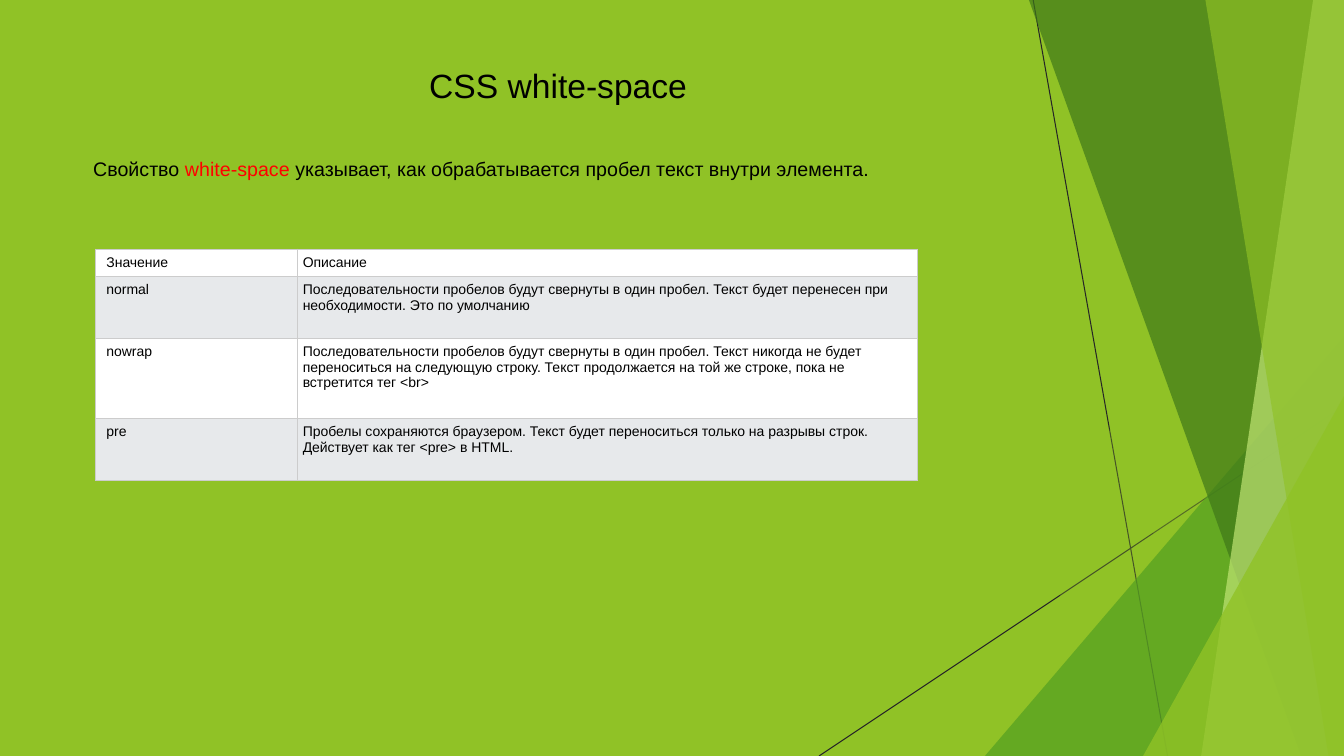
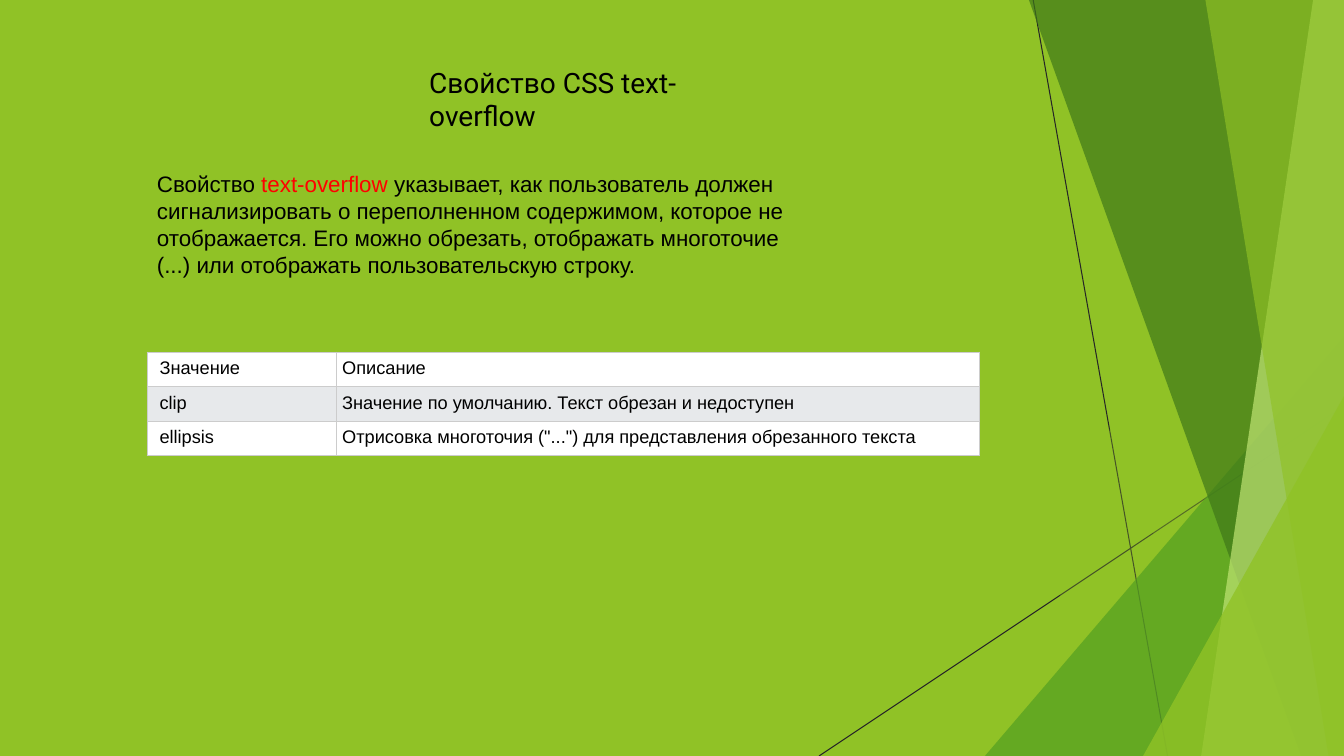
"""Build two slides on the CSS properties white-space and text-overflow."""
from lxml.etree import SubElement
from pptx import Presentation
from pptx.dml.color import RGBColor
from pptx.enum.shapes import MSO_CONNECTOR as CONN, MSO_SHAPE as SHAPE
from pptx.oxml import parse_xml
from pptx.oxml.ns import nsdecls, qn
from pptx.util import Pt

WIDTH, HEIGHT = 960, 540
LIME = RGBColor(0x90, 0xC2, 0x26)
GREEN = RGBColor(0x54, 0xA0, 0x21)
DARK_GREEN = RGBColor(0x3F, 0x78, 0x19)
PALE_GREEN = RGBColor(0xC0, 0xE4, 0x74)
LINE = RGBColor(0x26, 0x26, 0x26)
BLACK = RGBColor(0, 0, 0)
RED = RGBColor(0xFF, 0, 0)
WHITE = RGBColor(0xFF, 0xFF, 0xFF)
GREY = RGBColor(0xE7, 0xE9, 0xEB)
BORDER = RGBColor(0xCC, 0xCC, 0xCC)


def set_font(p, size, name="Arial"):
    p.font.size = Pt(size)
    p.font.name = name
    p.font.color.rgb = BLACK


def paint(sp, color, opacity):
    sp.shadow.inherit = False
    sp.line.fill.background()
    sp.fill.solid()
    sp.fill.fore_color.rgb = color
    clr = sp.element.spPr.find(".//" + qn("a:srgbClr"))
    SubElement(clr, qn("a:alpha"), val=str(opacity * 1000))


def add_line(shapes, x1, y1, x2, y2):
    line = shapes.add_connector(CONN.STRAIGHT, Pt(x1), Pt(y1), Pt(x2), Pt(y2))
    line.line.color.rgb = LINE
    line.line.width = Pt(0.75)
    SubElement(line.element.spPr, qn("a:effectLst"))


def add_band(shapes, top_x, bottom_x, color, opacity):
    outline = shapes.build_freeform(Pt(top_x), 0)
    corners = [(WIDTH, 0), (WIDTH, HEIGHT), (bottom_x, HEIGHT)]
    outline.add_line_segments([(Pt(x), Pt(y)) for x, y in corners])
    paint(outline.convert_to_shape(), color, opacity)


def add_corner(shapes, x, y, color, opacity):
    sp = shapes.add_shape(SHAPE.ISOSCELES_TRIANGLE, Pt(x), Pt(y),
                          Pt(WIDTH - x), Pt(HEIGHT - y))
    sp.adjustments[0] = 1
    paint(sp, color, opacity)


def add_decoration(s, layout):
    for ph in list(layout.placeholders):
        layout.shapes.element.remove(ph.element)
    group = s.shapes.add_group_shape()
    shapes = group.shapes
    add_line(shapes, 738, 0, 834, HEIGHT)
    add_line(shapes, WIDTH, 290, 585, HEIGHT)
    add_band(shapes, 884, 723, LIME, 30)
    add_band(shapes, 756, 852, LIME, 20)
    add_corner(shapes, 703.5, 240, GREEN, 72)
    add_band(shapes, 735, 929.5, DARK_GREEN, 70)
    add_band(shapes, 938, 858, PALE_GREEN, 70)
    add_band(shapes, 861, 949, LIME, 65)
    add_corner(shapes, 816.5, 283, LIME, 80)
    layout.shapes.element.append(group.element)


def add_text(s, x, y, w, h, size, runs, font="Arial"):
    tf = s.shapes.add_textbox(Pt(x), Pt(y), Pt(w), Pt(h)).text_frame
    tf.word_wrap = True
    p = tf.paragraphs[0]
    set_font(p, size, font)
    for text, color in runs:
        r = p.add_run()
        r.text = text
        if color != BLACK:
            r.font.color.rgb = color


def add_title(s, text, size, font):
    add_text(s, 299.5, 43, 204, 36, size, [(text, BLACK)], font)


def add_intro(s, x, y, w, h, size, name, rest):
    runs = [("Свойство ", BLACK), (name + " ", RED), (rest, BLACK)]
    add_text(s, x, y, w, h, size, runs)


def add_borders(cell):
    tcPr = cell._tc.get_or_add_tcPr()
    for i, side in enumerate(("lnL", "lnR", "lnT", "lnB")):
        tcPr.insert(i, parse_xml(
            f'<a:{side} {nsdecls("a")} w="{Pt(0.75)}"><a:solidFill>'
            f'<a:srgbClr val="{BORDER}"/></a:solidFill></a:{side}>'))


def add_values_table(s, x, y, widths, heights, size, pad, values):
    rows = [("Значение", "Описание")] + values
    table = s.shapes.add_table(len(rows), len(widths), Pt(x), Pt(y),
                               Pt(sum(widths)), Pt(sum(heights))).table
    table.first_row = table.horz_banding = False
    for column, w in zip(table.columns, widths):
        column.width = Pt(w)
    for i, (row, h, texts) in enumerate(zip(table.rows, heights, rows)):
        row.height = Pt(h)
        for j, (cell, text) in enumerate(zip(row.cells, texts)):
            cell.margin_left = Pt(pad if j else 2 * pad)
            cell.margin_right = cell.margin_top = cell.margin_bottom = Pt(pad)
            cell.text = text
            set_font(cell.text_frame.paragraphs[0], size)
            cell.fill.solid()
            cell.fill.fore_color.rgb = GREY if i % 2 else WHITE
            add_borders(cell)


def white_space_slide(s):
    add_title(s, "CSS white-space", 24, "Arial")
    add_intro(s, 59.5, 108.5, 662, 24.5, 14, "white-space",
              "указывает, как обрабатывается пробел текст внутри элемента.")
    add_values_table(s, 68.5, 178, (144, 443), (19.5, 44.5, 57, 44.5), 10, 3.75, [
        ("normal", "Последовательности пробелов будут свернуты в один пробел. "
                   "Текст будет перенесен при необходимости. Это по умолчанию"),
        ("nowrap", "Последовательности пробелов будут свернуты в один пробел. "
                   "Текст никогда не будет переноситься на следующую строку. "
                   "Текст продолжается на той же строке, пока не встретится "
                   "тег <br>"),
        ("pre", "Пробелы сохраняются браузером. Текст будет переноситься "
                "только на разрывы строк. Действует как тег <pre> в HTML."),
    ])


def text_overflow_slide(s):
    add_title(s, "Свойство CSS text-overflow", 20, "Roboto")
    add_intro(s, 105, 118, 480, 85, 16, "text-overflow",
              "указывает, как пользователь должен сигнализировать о "
              "переполненном содержимом, которое не отображается. Его можно "
              "обрезать, отображать многоточие (...) или отображать "
              "пользовательскую строку.")
    add_values_table(s, 105, 251.5, (135, 460), (24.25,) * 3, 13, 4.5, [
        ("clip", "Значение по умолчанию. Текст обрезан и недоступен"),
        ("ellipsis", 'Отрисовка многоточия ("...") для представления '
                     "обрезанного текста"),
    ])


def main():
    prs = Presentation()
    prs.slide_width, prs.slide_height = Pt(WIDTH), Pt(HEIGHT)
    background = prs.slide_master.background.fill
    background.solid()
    background.fore_color.rgb = LIME
    layout = prs.slide_layouts[6]
    first, second = [prs.slides.add_slide(layout) for _ in range(2)]
    add_decoration(first, layout)
    white_space_slide(first)
    text_overflow_slide(second)
    prs.save("out.pptx")


if __name__ == "__main__":
    main()
